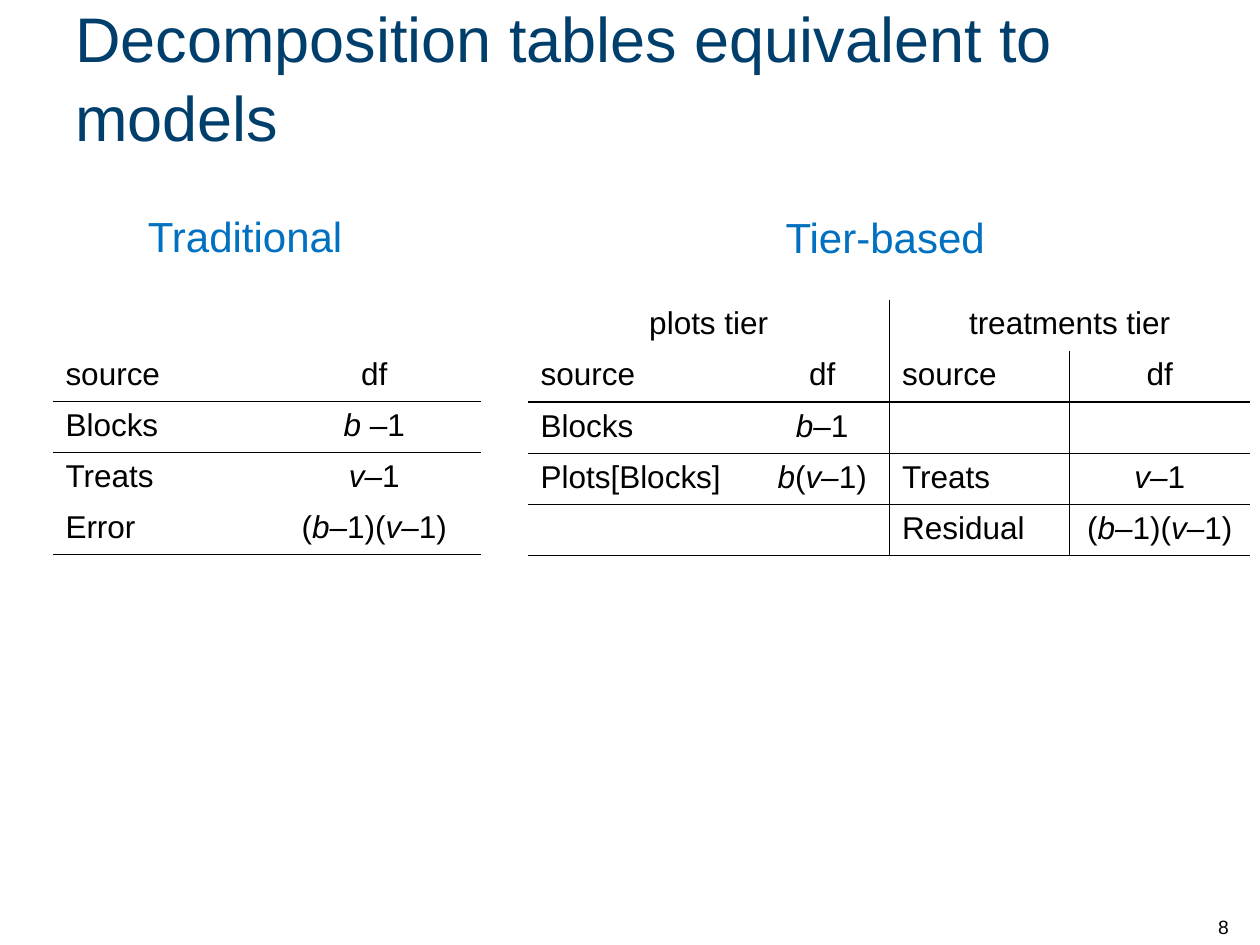
import itertools
from dataclasses import dataclass

import pptx
import pptx.dml.color
import pptx.enum.text
import pptx.oxml
import pptx.oxml.ns
import pptx.util

Inches = pptx.util.Inches
Pt = pptx.util.Pt
Align = pptx.enum.text.PP_ALIGN
Anchor = pptx.enum.text.MSO_ANCHOR


@dataclass(frozen=True)
class Theme:
    font: str = "Arial"
    title_color: str = "003E6C"
    heading_color: str = "0070C0"
    ink: str = "000000"
    title_size: int = 36
    heading_size: int = 24
    table_size: int = 18
    number_size: int = 11
    rule_width: int = 1


THEME = Theme()

LABELS = [
    {"text": "Decomposition tables equivalent to models", "box": (0.5, 0.08, 9.16, 1.03),
     "size": THEME.title_size, "color": THEME.title_color,
     "anchor": Anchor.MIDDLE, "align": Align.LEFT, "spacing": 1.05},
    {"text": "Traditional", "box": (0.57, 1.62, 2.75, 0.5),
     "size": THEME.heading_size, "color": THEME.heading_color,
     "anchor": Anchor.TOP, "align": Align.CENTER, "spacing": 1.0},
    {"text": "Tier-based", "box": (5.65, 1.63, 2.75, 0.5),
     "size": THEME.heading_size, "color": THEME.heading_color,
     "anchor": Anchor.TOP, "align": Align.CENTER, "spacing": 1.0},
    {"text": "8", "box": (9.57, 7, 0.42, 0.5),
     "size": THEME.number_size, "color": THEME.ink,
     "anchor": Anchor.BOTTOM, "align": Align.LEFT, "spacing": 1.0},
]

ITALIC_MARK = "*"
TABLES = [
    {"origin": (0.42, 2.78), "height": 1.62, "widths": [1.7, 1.7],
     "rows": [
         ["source", "df"],
         ["Blocks", "*b –*1"],
         ["Treats", "*v–*1"],
         ["Error", "(*b–*1)(*v–*1)"],
     ],
     "merges": [], "rules_below": {0, 1, 3}, "rules_right": {}},
    {"origin": (4.19, 2.38), "height": 2.03, "widths": [1.8, 1.07, 1.43, 1.43],
     "rows": [
         ["plots tier", "", "treatments tier", ""],
         ["source", "df", "source", "df"],
         ["Blocks", "*b*–1", "", ""],
         ["Plots[Blocks]", "*b*(*v–*1)", "Treats", "*v–*1"],
         ["", "", "Residual", "(*b–*1)(*v–*1)"],
     ],
     "merges": [(0, 0, 1), (0, 2, 3)], "rules_below": {1, 2, 3, 4},
     "rules_right": {1: 0, 2: 1}},
]


def style_span(span, size, color):
    span.font.name = THEME.font
    span.font.size = Pt(size)
    span.font.color.rgb = pptx.dml.color.RGBColor.from_string(color)


def add_label(page, label):
    box = page.shapes.add_textbox(*map(Inches, label["box"]))
    frame = box.text_frame
    frame.word_wrap = True
    frame.vertical_anchor = label["anchor"]
    frame.text = label["text"]
    para = frame.paragraphs[0]
    para.alignment = label["align"]
    para.line_spacing = label["spacing"]
    style_span(para.runs[0], label["size"], label["color"])


def write_cell(cell, text, centered):
    para = cell.text_frame.paragraphs[0]
    para.alignment = Align.CENTER if centered else Align.LEFT
    para.font.size = Pt(THEME.table_size)
    for index, piece in enumerate(text.split(ITALIC_MARK)):
        if piece:
            span = para.add_run()
            span.text = piece
            style_span(span, THEME.table_size, THEME.ink)
            span.font.italic = index % 2 == 1


def set_borders(cell, sides):
    properties = cell._tc.get_or_add_tcPr()
    namespace = pptx.oxml.ns.nsdecls("a")
    ink = f'<a:solidFill><a:srgbClr val="{THEME.ink}"/></a:solidFill>'
    for position, side in enumerate("LRTB"):
        paint = ink if side in sides else "<a:noFill/>"
        line = pptx.oxml.parse_xml(
            f'<a:ln{side} {namespace} w="{Pt(THEME.rule_width)}">{paint}</a:ln{side}>')
        properties.insert(position, line)


def ruled_sides(row, column, content):
    below, right = content["rules_below"], content["rules_right"]
    tests = {
        "L": column - 1 in right and row >= right[column - 1],
        "R": column in right and row >= right[column],
        "T": row - 1 in below,
        "B": row in below,
    }
    return {side for side, ruled in tests.items() if ruled}


def add_decomposition(page, content):
    rows, widths = content["rows"], content["widths"]
    frame = page.shapes.add_table(
        len(rows), len(widths), *map(Inches, content["origin"]),
        Inches(sum(widths)), Inches(content["height"]))
    table = frame.table
    table.first_row = False
    table.horz_banding = False
    for column, width in zip(table.columns, widths):
        column.width = Inches(width)
    for row, first, last in content["merges"]:
        table.cell(row, first).merge(table.cell(row, last))
    for row, column in itertools.product(range(len(rows)), range(len(widths))):
        cell = table.cell(row, column)
        cell.fill.background()
        centered = column % 2 == 1 or cell.is_merge_origin
        write_cell(cell, rows[row][column], centered)
        set_borders(cell, ruled_sides(row, column, content))


def main():
    deck = pptx.Presentation()
    deck.slide_width, deck.slide_height = Inches(10), Inches(7.5)
    page = deck.slides.add_slide(deck.slide_layouts[6])
    for content in TABLES:
        add_decomposition(page, content)
    for label in LABELS:
        add_label(page, label)
    deck.save("out.pptx")


if __name__ == "__main__":
    main()
